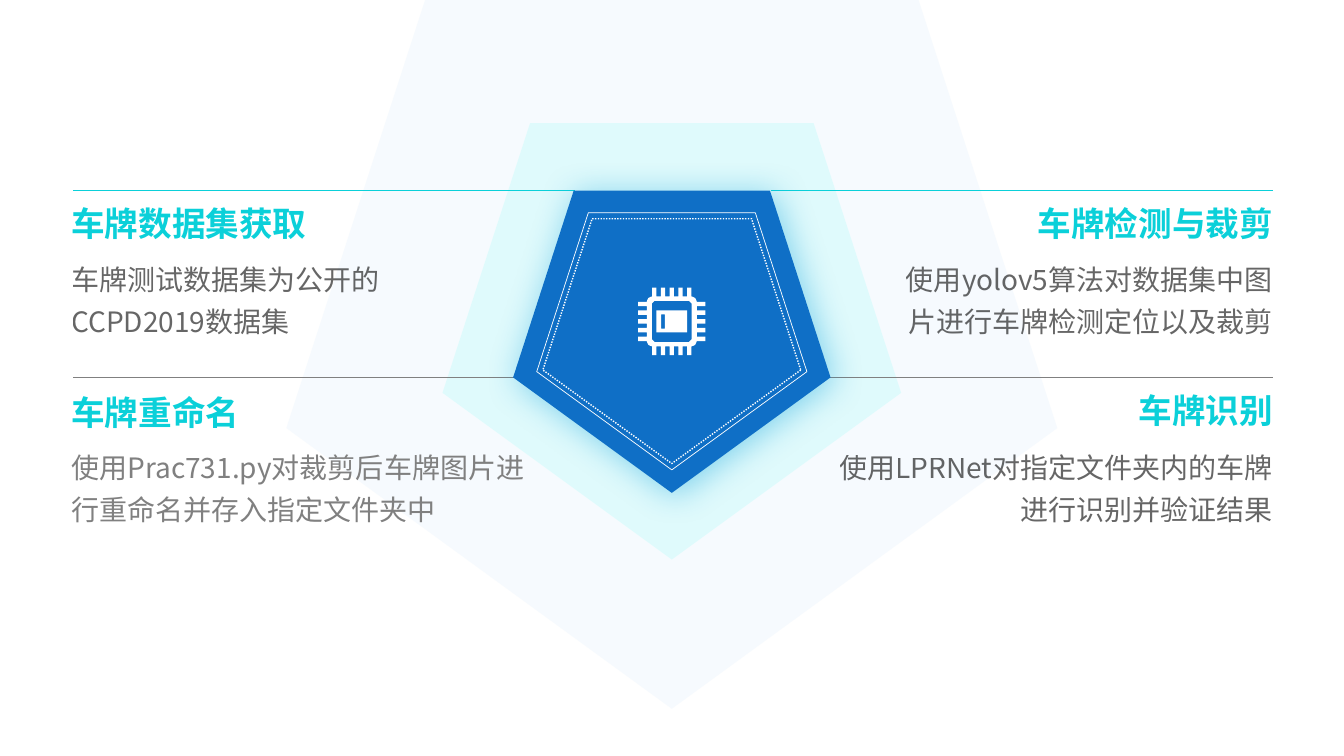
"""Build the licence plate workflow slide with a central pentagon and four text blocks."""
from lxml import etree
from pptx import Presentation
from pptx.dml.color import RGBColor
from pptx.enum.dml import MSO_LINE
from pptx.enum.shapes import MSO_CONNECTOR, MSO_SHAPE
from pptx.enum.text import MSO_AUTO_SIZE, PP_ALIGN
from pptx.oxml import parse_xml
from pptx.oxml.ns import nsdecls, qn
from pptx.util import Cm, Pt

PENTAGON, STRAIGHT = MSO_SHAPE.REGULAR_PENTAGON, MSO_CONNECTOR.STRAIGHT
LEFT, RIGHT = PP_ALIGN.LEFT, PP_ALIGN.RIGHT
SYS_DOT, FIT = MSO_LINE.ROUND_DOT, MSO_AUTO_SIZE.SHAPE_TO_FIT_TEXT
FONT = "Noto Sans CJK SC"
COLORS = {"pale": "C8E3FB", "mint": "C9FAFC", "blue": "0F6FC6", "cyan": "0BD0D9",
          "glow": "009DD9", "gray": "808080", "black": "000000", "white": "FFFFFF"}
RGB = {name: RGBColor.from_string(value) for name, value in COLORS.items()}
CENTER_X, LEFT_X, RIGHT_X = 16.93, 1.55, 32.33


def set_alpha(element, percent):
    color = element.find(".//" + qn("a:srgbClr"))
    etree.SubElement(color, qn("a:alpha")).set("val", str(percent * 1000))


def add_pentagon(shapes, top, width, height, fill=None):
    sp = shapes.add_shape(PENTAGON, Cm(CENTER_X - width / 2), Cm(top), Cm(width), Cm(height))
    sp.rotation = 180
    sp.shadow.inherit = False
    sp.line.fill.background()
    if fill:
        sp.fill.solid()
        sp.fill.fore_color.rgb = RGB[fill]
    else:
        sp.fill.background()
    return sp


prs = Presentation()
prs.slide_width, prs.slide_height = Cm(33.87), Cm(19.05)
s = prs.slides.add_slide(prs.slide_layouts[6])

for top, width, height, fill, alpha in [(-0.66, 19.43, 18.52, "pale", 16),
                                        (3.1, 11.56, 11, "mint", 50)]:
    sp = add_pentagon(s.shapes, top, width, height, fill)
    set_alpha(sp._element.spPr, alpha)

BODY = {"size": Pt(20), "bold": False}
HEADING = {"size": Pt(24), "bold": True}
texts = [
    ("使用yolov5算法对数据集中图片进行车牌检测定位以及裁剪", RIGHT, 6.27, 10.41, BODY, "black"),
    ("车牌测试数据集为公开的CCPD2019数据集", LEFT, 6.27, 10.85, BODY, "black"),
    ("使用Prac731.py对裁剪后车牌图片进行重命名并存入指定文件夹中", LEFT, 11.02, 12.45, BODY, "gray"),
    ("使用LPRNet对指定文件夹内的车牌进行识别并验证结果", RIGHT, 11.02, 11.48, BODY, "black"),
    ("车牌数据集获取", LEFT, 5, 6.43, HEADING, "cyan"),
    ("车牌重命名", LEFT, 9.75, 4.75, HEADING, "cyan"),
    ("车牌检测与裁剪", RIGHT, 5, 6.43, HEADING, "cyan"),
    ("车牌识别", RIGHT, 9.7, 3.89, HEADING, "cyan"),
]
for text, align, top, width, style, color in texts:
    left = LEFT_X if align == LEFT else RIGHT_X - width
    height = 2.39 if style is BODY else 1.27
    tf = s.shapes.add_textbox(Cm(left), Cm(top), Cm(width), Cm(height)).text_frame
    tf.word_wrap = style is BODY
    tf.auto_size = FIT
    p = tf.paragraphs[0]
    p.alignment = align
    if style is BODY:
        p.line_spacing = 1.25
    r = p.add_run()
    r.text = text
    for name, value in style.items():
        setattr(r.font, name, value)
    r.font.color.rgb = RGB[color]
    if color == "black":
        set_alpha(r._r, 60)
    r.font.name = FONT
    etree.SubElement(r._r.get_or_add_rPr(), qn("a:ea")).set("typeface", FONT)

for y, inner_left, inner_right, color in [(4.81, 14.48, 19.43, "cyan"),
                                          (9.5, 13.26, 20.6, "gray")]:
    for x1, x2 in [(1.84, inner_left), (inner_right, 32.08)]:
        rule = s.shapes.add_connector(STRAIGHT, Cm(x1), Cm(y), Cm(x2), Cm(y))
        rule.line.color.rgb = RGB[color]
        rule.line.width = Pt(0.5)
        etree.SubElement(rule._element.spPr, qn("a:effectLst"))

badge = s.shapes.add_group_shape().shapes
core = add_pentagon(badge, 4.8, 8, 7.62, "blue")
core._element.spPr.remove(core._element.spPr.find(qn("a:effectLst")))
core._element.spPr.append(parse_xml(
    f'<a:effectLst {nsdecls("a")}><a:outerShdw blurRad="{Pt(24)}" dist="{Pt(3)}" dir="2700000" '
    f'rotWithShape="0"><a:srgbClr val="{COLORS["glow"]}"><a:alpha val="41000"/></a:srgbClr>'
    '</a:outerShdw></a:effectLst>'))

CHIP_Y, CHIP_HALF, PIN_REACH, PIN_PITCH, PIN_HALF = 8.1, 0.63, 0.85, 0.22, 0.055
side = []
for i in range(-2, 3):
    x1, x2 = i * PIN_PITCH - PIN_HALF, i * PIN_PITCH + PIN_HALF
    side += [(x1, -CHIP_HALF), (x1, -PIN_REACH), (x2, -PIN_REACH), (x2, -CHIP_HALF)]
side += [(0.53, -0.62), (0.59, -0.59), (0.62, -0.53)]
outline = []
for turn in range(4):
    outline += side
    side = [(-y, x) for x, y in side]
contours = [outline]
for x1, y1, x2, y2, cut in [(-0.5, -0.52, 0.5, 0.52, 0.07),
                            (-0.39, -0.28, 0.39, 0.28, 0),
                            (-0.27, -0.18, -0.17, 0.18, 0)]:
    contours.append([(x1 + cut, y1), (x2 - cut, y1), (x2, y1 + cut), (x2, y2 - cut),
                     (x2 - cut, y2), (x1 + cut, y2), (x1, y2 - cut), (x1, y1 + cut)])
builder = None
for contour in contours:
    points = [(Cm(CENTER_X + x), Cm(CHIP_Y + y)) for x, y in contour]
    if builder is None:
        builder = badge.build_freeform(*points[0])
    else:
        builder.move_to(*points[0])
    builder.add_line_segments(points[1:], close=True)
chip = builder.convert_to_shape()
chip.shadow.inherit = False
chip.fill.solid()
chip.fill.fore_color.rgb = RGB["white"]
chip.line.fill.background()

for top, width, height, weight, dash in [(5.51, 6.5, 6.17, 1, SYS_DOT),
                                         (5.36, 6.81, 6.48, 0.5, None)]:
    frame = add_pentagon(badge, top, width, height)
    frame.line.color.rgb = RGB["white"]
    frame.line.width = Pt(weight)
    frame.line.dash_style = dash

prs.save("out.pptx")
